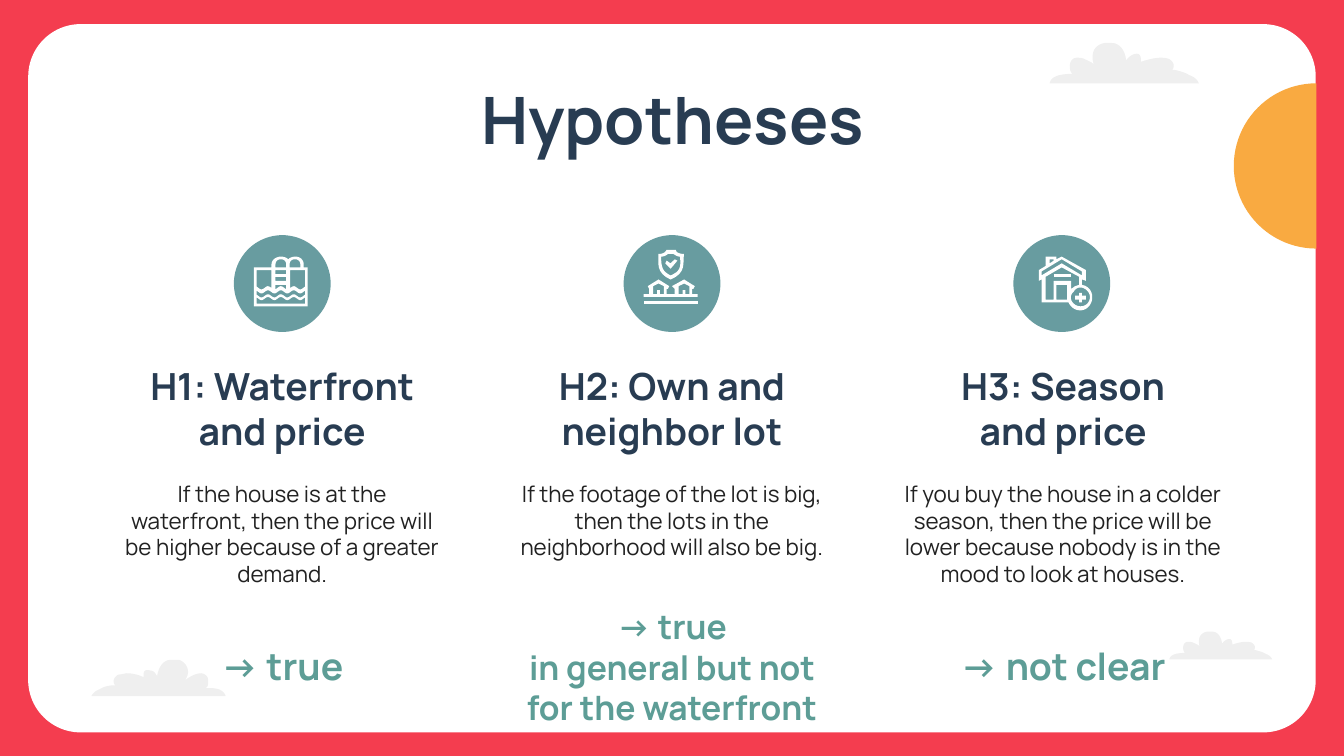
from math import cos, pi

from lxml import etree
from pptx import Presentation
from pptx.dml.color import RGBColor
from pptx.enum.shapes import MSO_SHAPE as Preset
from pptx.enum.text import MSO_ANCHOR as Anchor, PP_ALIGN as Align
from pptx.oxml.ns import qn
from pptx.util import Inches, Pt

COLORS = {"red": "F43D4F", "white": "FFFFFF", "navy": "283C52", "ink": "212121",
          "teal": "689CA0", "green": "5D9D96", "orange": "F9AA41"}
FONT = "Manrope"


def bezier(start, *curves):
    """Points along cubic curves, each given as two controls and an end."""
    points = [start]
    for x1, y1, x2, y2, x3, y3 in curves:
        x0, y0 = points[-1]
        for step in range(1, 9):
            t = step / 8
            a, b, c, d = (1 - t) ** 3, 3 * t * (1 - t) ** 2, 3 * t * t * (1 - t), t ** 3
            points.append((a * x0 + b * x1 + c * x2 + d * x3,
                           a * y0 + b * y1 + c * y2 + d * y3))
    return points


def draw_outline(shapes, left, top, contours, color, scale=1):
    """Fill closed contours, given in hundredths of an inch; inner ones are holes."""
    contours = [[(Inches(x * scale / 100), Inches(y * scale / 100)) for x, y in contour]
                for contour in contours]
    builder = shapes.build_freeform(*contours[0][0])
    builder.add_line_segments(contours[0][1:])
    for contour in contours[1:]:
        builder.move_to(*contour[0])
        builder.add_line_segments(contour[1:])
    shape = builder.convert_to_shape(Inches(left), Inches(top))
    shape.shadow.inherit = False
    shape.line.fill.background()
    shape.fill.solid()
    shape.fill.fore_color.rgb = RGBColor.from_string(COLORS[color])
    return shape


deck = Presentation()
deck.slide_width, deck.slide_height = Inches(10), Inches(10) * 9 // 16
page = deck.slides.add_slide(deck.slide_layouts[5])
page.background.fill.solid()
page.background.fill.fore_color.rgb = RGBColor.from_string(COLORS["red"])

# Card, bottom edge, circles behind the icons, sun
columns = (0.79, 3.69, 6.6)
presets = [(Preset.ROUNDED_RECTANGLE, 0.21, 0.18, 9.58, 5.27, "white"),
           (Preset.RECTANGLE, 0, 5.5, 10, 0.12, "red")]
presets += [(Preset.OVAL, left, 1.75, 0.72, 0.72, "teal") for left in (1.74, 4.64, 7.54)]
presets += [(Preset.PIE, 9.18, 0.62, 1.23, 1.23, "orange")]
for preset, left, top, width, height, color in presets:
    shape = page.shapes.add_shape(preset, Inches(left), Inches(top), Inches(width), Inches(height))
    shape.shadow.inherit = False
    shape.line.fill.background()
    shape.fill.solid()
    shape.fill.fore_color.rgb = RGBColor.from_string(COLORS[color])
    if preset == Preset.ROUNDED_RECTANGLE:
        shape.adjustments[0] = 0.074
    elif preset == Preset.PIE:
        shape.adjustments[0], shape.adjustments[1] = 0, 108
        shape.rotation = 90

# Clouds
left_cloud = bezier(
    (59, 0), (54, 0, 50, 5, 49, 12), (48, 11, 47, 8, 44, 8), (41, 7, 39, 8, 39, 10),
    (39, 11, 39, 12, 39, 13), (35, 11, 30, 10, 26, 10), (22, 11, 20, 11, 20, 11),
    (17, 13, 16, 15, 17, 18), (18, 19, 18, 19, 17, 19), (13, 19, 9, 20, 6, 22),
    (3, 23, 1, 25, 0, 27), (0, 27, 100, 27, 100, 27), (99, 24, 97, 23, 95, 22),
    (92, 21, 89, 21, 85, 21), (87, 20, 87, 18, 87, 16), (87, 13, 86, 11, 82, 10),
    (78, 10, 74, 12, 70, 15), (71, 13, 72, 11, 72, 9), (72, 5, 69, 1, 65, 0))
right_cloud = bezier(
    (41, 0), (35, 1, 32, 5, 32, 10), (32, 12, 32, 14, 33, 16), (31, 14, 28, 13, 26, 12),
    (24, 11, 22, 11, 20, 11), (17, 11, 15, 14, 15, 17), (15, 19, 15, 21, 17, 23),
    (15, 23, 12, 23, 7, 24), (4, 25, 1, 26, 0, 30), (0, 30, 111, 30, 111, 30),
    (110, 27, 107, 25, 104, 24), (101, 22, 97, 21, 93, 20), (91, 20, 91, 20, 92, 19),
    (93, 16, 92, 14, 89, 12), (87, 11, 84, 11, 82, 11), (79, 11, 74, 12, 68, 14),
    (68, 12, 68, 8, 65, 8), (62, 8, 59, 10, 57, 13), (56, 5, 52, 0, 46, 0))
for left, top, cloud, scale in ((0.68, 4.91, left_cloud, 1), (7.81, 0.32, right_cloud, 1),
                                (8.7, 4.7, right_cloud, 0.69)):
    shape = draw_outline(page.shapes, left, top, [cloud], "ink", scale)
    tint = next(shape.element.iter(qn("a:srgbClr")))
    etree.SubElement(tint, qn("a:alpha")).set("val", "7000")

# Pool icon
ripples = [[(x, depth + 1.2 - 1.2 * cos(2 * pi * (x - 20) / 9.6)) for x in range(2, 39)]
           for depth in (22, 25, 28, 30)]
pool = [[(0, 8), (13, 8)]
        + bezier((13, 6), (13, 2, 17, 0, 20, 0), (22, 0, 24, 0.5, 25.5, 2),
                 (27, 0.5, 29, 0, 31, 0), (34, 0, 37, 2, 37, 6))
        + [(37, 8), (40, 8), (40, 37), (0, 37)]]
for shift in (0, 10.5):
    pool.append([(16 + shift, 8)]
                + bezier((16 + shift, 6), (16 + shift, 3, 18 + shift, 2, 20 + shift, 2),
                         (22 + shift, 2, 24 + shift, 3, 24 + shift, 6))
                + [(24 + shift, 8)])
for step in (10, 15):
    pool.append([(16, step), (24, step), (24, step + 3), (16, step + 3)])
for left, right, top in ((2, 13, 10), (16, 24, 21), (27, 38, 10)):
    pool.append([(left, top), (right, top)]
                + [(x, y) for x, y in reversed(ripples[0]) if left <= x <= right])
pool.append(ripples[1] + ripples[2][::-1])
pool.append(ripples[3] + [(38, 35), (2, 35)])
draw_outline(page.shapes, 1.89, 1.91, pool, "white")

# Neighborhood icon
houses = [[(11, 22), (3, 27), (4, 29), (4, 33), (0, 33), (0, 35), (40, 35), (40, 33), (36, 33),
           (36, 29), (37, 29), (38, 27), (30, 22), (21, 27), (23, 29), (23, 33), (17, 33),
           (17, 29), (18, 29), (19, 27)]]
for shift in (0, 19):
    houses.append([(x + shift, y) for x, y in (
        (11, 25), (15, 27), (15, 33), (12, 33), (12, 30), (10, 30), (10, 33), (7, 33), (7, 27))])
road = [[(0, 38), (40, 38), (40, 40.5), (0, 40.5)]]
check = [[(23, 7), (20, 10), (17, 8), (16, 10), (20, 14), (25, 8)]]
shield = [bezier((17, 0), (16, 2, 14, 3, 11, 3), (11, 10, 9, 17, 20, 22),
                 (32, 17, 29, 10, 30, 3), (27, 3, 24, 2, 24, 0)),
          bezier((22, 3), (24, 4, 25, 5, 27, 5), (28, 13, 27, 16, 20, 19),
                 (14, 16, 13, 13, 13, 5), (15, 5, 17, 4, 18, 3))]

# House with a plus sign
plus = [[(30, 27), (30, 29), (27, 29), (27, 32), (30, 32), (30, 34), (32, 34), (32, 32),
         (35, 32), (35, 29), (32, 29), (32, 27)]]
lintel = [[(11, 13), (24, 13), (24, 15.5), (11, 15.5)]]
home = [[(5, 0), (5, 7), (0, 10), (0, 18), (2, 17), (2, 34)]
        + bezier((22, 34), (24, 38, 27, 40, 31, 40), (33, 40, 36, 39, 38, 36),
                 (42, 30, 39, 22, 32, 21))
        + [(32, 17), (35, 18), (35, 10), (17, 0), (13, 2), (13, 0)],
        [(11, 2), (11, 3), (8, 5), (8, 2)],
        [(17, 2), (32, 11), (32, 14), (17, 5), (2, 14), (2, 11)],
        [(17, 8), (30, 15), (30, 21), (27, 22), (24, 24), (24, 18), (11, 18), (11, 32),
         (5, 32), (5, 15)],
        [(21, 21), (21, 32), (13, 32), (13, 21)],
        bezier((31, 23), (34, 23, 38, 26, 38, 30), (38, 34, 35, 37, 31, 37),
               (25, 37, 21, 30, 26, 26), (27, 24, 29, 23, 31, 23))]
for left, top, parts in ((4.79, 1.86, (houses, road, check, shield)),
                         (7.73, 1.91, (plus, lintel, home))):
    icon = page.shapes.add_group_shape()
    for part in parts:
        draw_outline(icon.shapes, left, top, part, "white")

# Texts: box, left, top, width, height, size, color, bold, anchor, wording
title = page.shapes.title
page.shapes.element.append(title.element)
texts = [(title, 0.79, 0.49, 8.43, 0.63, 35, "navy", True, Anchor.TOP, "Hypotheses")]
hypotheses = (
    ("H1: Waterfront and price",
     "If the house is at the waterfront, then the price will be higher because of a greater demand.",
     "→ true", 4.61, 0.61, 20),
    ("H2: Own and neighbor lot",
     "If the footage of the lot is big, then the lots in the neighborhood will also be big.",
     "→ true\nin general but not for the waterfront", 4.49, 1.02, 18),
    ("H3: Season\vand price",
     "If you buy the house in a colder season, then the price will be lower because nobody "
     "is in the mood to look at houses.",
     "→ not clear", 4.61, 0.61, 20))
for left, (heading, claim, verdict, top, height, size) in zip(columns, hypotheses):
    texts += [
        (None, left, 2.45, 2.62, 1.02, 20, "navy", True, Anchor.BOTTOM, heading),
        (None, left, 3.47, 2.62, 1.54, 12, "ink", False, Anchor.TOP, claim),
        (None, left, top, 2.62, height, size, "green", True, Anchor.BOTTOM, verdict)]
for box, left, top, width, height, size, color, bold, anchor, wording in texts:
    box = box or page.shapes.add_textbox(0, 0, 0, 0)
    box.left, box.top, box.width, box.height = map(Inches, (left, top, width, height))
    frame = box.text_frame
    frame.word_wrap = True
    frame.vertical_anchor = anchor
    frame.margin_left = frame.margin_right = frame.margin_top = frame.margin_bottom = Inches(0.1)
    frame.text = wording
    for para in frame.paragraphs:
        para.alignment = Align.CENTER
        para.font.name, para.font.size, para.font.bold = FONT, Pt(size), bold
        para.font.color.rgb = RGBColor.from_string(COLORS[color])

deck.save("out.pptx")
